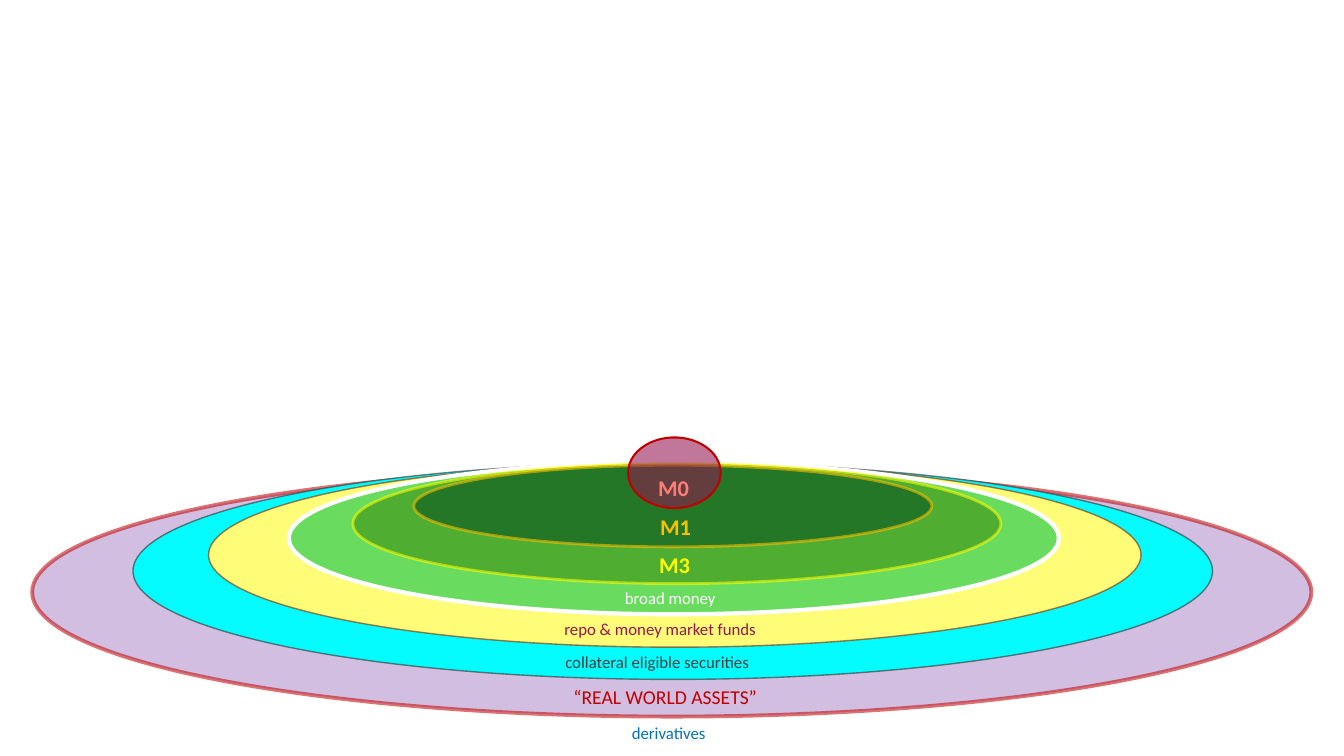
from dataclasses import dataclass

from lxml.etree import SubElement
from pptx import Presentation
from pptx.dml.color import RGBColor
from pptx.enum.shapes import MSO_SHAPE
from pptx.enum.text import MSO_AUTO_SIZE, PP_ALIGN
from pptx.oxml.ns import qn
from pptx.util import Pt


@dataclass(frozen=True)
class Theme:
    font: str = "Calibri"
    money_size: float = 16
    asset_size: float = 14
    label_size: float = 12
    white: str = "FFFFFF"
    red: str = "C00000"
    plum: str = "941651"
    charcoal: str = "404040"
    yellow: str = "FFFF00"
    amber: str = "FFC000"
    purple: str = "7030A0"
    cyan: str = "00FEFF"
    lemon: str = "FFFD78"
    brown: str = "80350E"
    light_green: str = "47D45A"
    green: str = "4FAD31"
    dark_green: str = "196B24"
    pink: str = "FF7E79"
    blue: str = "0070C0"


@dataclass(frozen=True)
class Ring:
    left: float
    top: float
    width: float
    height: float
    fill: str
    fill_opacity: int
    line: str
    line_width: float
    line_opacity: int = 100


@dataclass(frozen=True)
class Label:
    text: str
    left: float
    top: float
    width: float
    size: float
    color: str
    bold: bool = False


THEME = Theme()

RINGS = (
    Ring(23, 334.1, 913.7, 177.8, THEME.purple, 31, THEME.red, 2.75, 55),
    Ring(95, 330.5, 771.1, 154.8, THEME.cyan, 98, THEME.charcoal, 1, 67),
    Ring(149, 330.5, 666, 131.8, THEME.lemon, 100, THEME.brown, 1, 66),
    Ring(206.3, 330.1, 550.1, 108.7, THEME.light_green, 81, THEME.white, 3),
    Ring(252, 331.2, 463, 85.7, THEME.green, 100, THEME.yellow, 2, 57),
    Ring(295.6, 332.3, 370.1, 58.3, THEME.dark_green, 81, THEME.amber, 2, 57),
    Ring(448.6, 312.5, 66.2, 50.4, THEME.plum, 58, THEME.red, 1.5),
)

LABELS = (
    Label("M0", 463, 334.8, 46.1, THEME.money_size, THEME.pink, True),
    Label("M1", 464.4, 362.9, 46.1, THEME.money_size, THEME.amber, True),
    Label("M3", 463.7, 390.2, 46.1, THEME.money_size, THEME.yellow, True),
    Label("broad money", 439.2, 416.2, 99.4, THEME.label_size, THEME.white),
    Label("repo & money market funds", 396, 438.5, 178.6, THEME.label_size, THEME.plum),
    Label("collateral eligible securities", 396.7, 462.2, 172.8, THEME.label_size, THEME.charcoal),
    Label("“REAL WORLD ASSETS”", 402.5, 486, 167.8, THEME.asset_size, THEME.red),
    Label("derivatives", 444.2, 512.6, 82.8, THEME.label_size, THEME.blue),
)


def paint(fill, color: str, opacity: int) -> None:
    fill.solid()
    fill.fore_color.rgb = RGBColor.from_string(color)
    if opacity < 100:
        color_element = fill._xPr.find(qn("a:solidFill"))[0]
        SubElement(color_element, qn("a:alpha"), val=str(opacity * 1000))


def draw_ring(page, ring: Ring) -> None:
    ellipse = page.shapes.add_shape(
        MSO_SHAPE.OVAL, Pt(ring.left), Pt(ring.top), Pt(ring.width), Pt(ring.height)
    )
    ellipse.shadow.inherit = False
    paint(ellipse.fill, ring.fill, ring.fill_opacity)
    ellipse.line.width = Pt(ring.line_width)
    paint(ellipse.line.fill, ring.line, ring.line_opacity)


def draw_label(page, label: Label) -> None:
    height = label.size * 1.2 + 7.2
    box = page.shapes.add_textbox(
        Pt(label.left), Pt(label.top), Pt(label.width), Pt(height)
    )
    frame = box.text_frame
    frame.word_wrap = True
    frame.auto_size = MSO_AUTO_SIZE.SHAPE_TO_FIT_TEXT
    para = frame.paragraphs[0]
    para.alignment = PP_ALIGN.LEFT
    span = para.add_run()
    span.text = label.text
    span.font.name = THEME.font
    span.font.size = Pt(label.size)
    span.font.bold = label.bold
    span.font.color.rgb = RGBColor.from_string(label.color)


def main() -> None:
    deck = Presentation()
    deck.slide_width = Pt(960)
    deck.slide_height = Pt(540)
    page = deck.slides.add_slide(deck.slide_layouts.get_by_name("Blank"))
    for ring in RINGS:
        draw_ring(page, ring)
    for label in LABELS:
        draw_label(page, label)
    deck.save("out.pptx")


if __name__ == "__main__":
    main()
